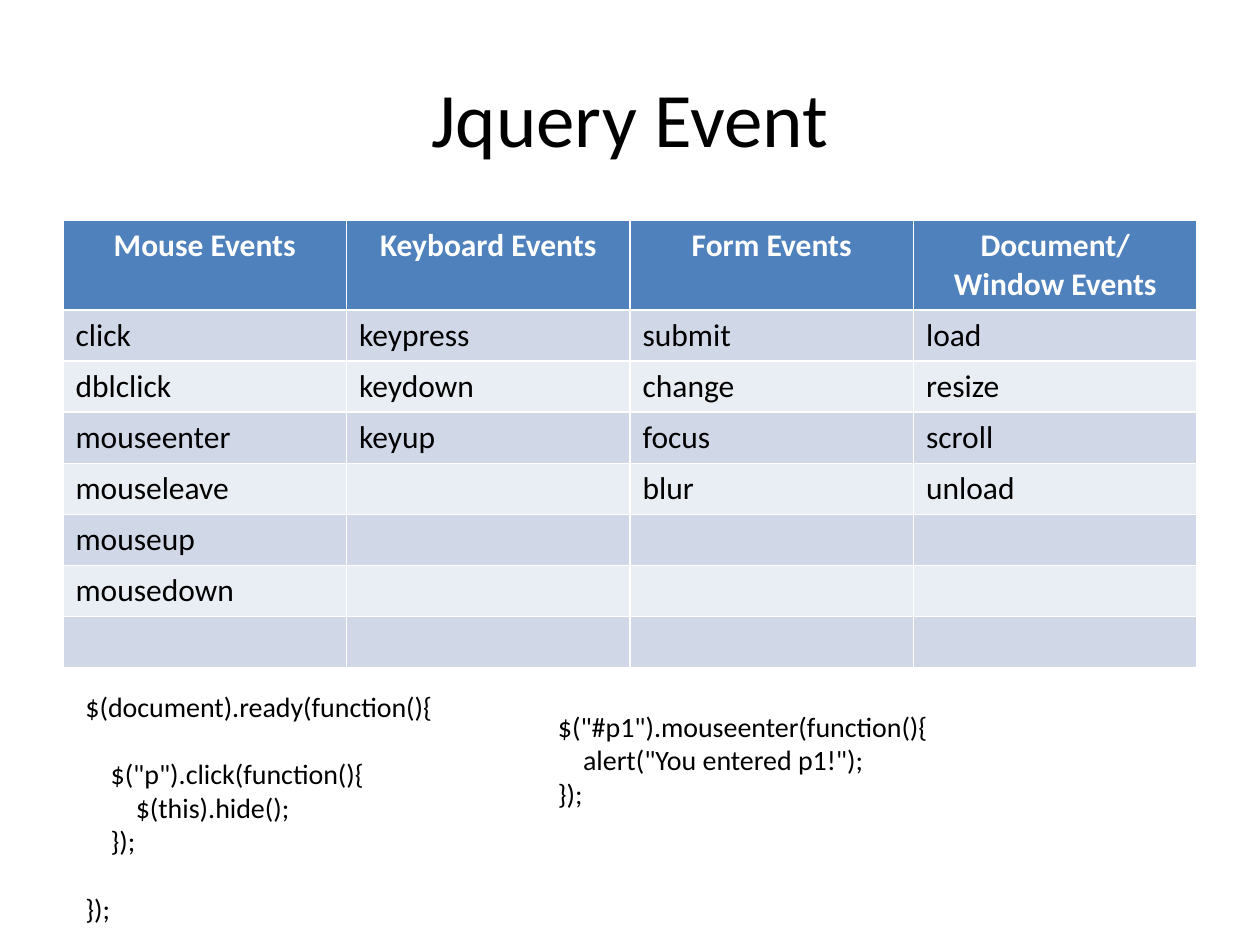
"""Build a slide with a table of jQuery events and two code samples."""
from pptx import Presentation
from pptx.dml.color import RGBColor
from pptx.enum.text import MSO_ANCHOR, MSO_AUTO_SIZE, PP_ALIGN
from pptx.util import Inches, Pt

CENTER, LEFT = PP_ALIGN.CENTER, PP_ALIGN.LEFT
MIDDLE = MSO_ANCHOR.MIDDLE
GROW = MSO_AUTO_SIZE.SHAPE_TO_FIT_TEXT

THEME = {
    "font": "Calibri",
    "ink": RGBColor.from_string("000000"),
    "paper": RGBColor.from_string("FFFFFF"),
    "head": RGBColor.from_string("4F81BD"),
    "bands": [RGBColor.from_string(c) for c in ("D0D8E8", "E9EDF4")],
    "title": Pt(44),
    "cell": Pt(18),
    "code": Pt(16),
    "gap": Pt(19.5),
}


def style(para, size, color, align=LEFT, bold=False):
    para.alignment = align
    para.font.color.rgb = color
    for name, value in {"name": THEME["font"], "size": size, "bold": bold}.items():
        setattr(para.font, name, value)


deck = Presentation()
deck.slide_width, deck.slide_height = Inches(10), Inches(7.5)
slide = deck.slides.add_slide(deck.slide_layouts[5])

title = slide.shapes.title
place = {"left": 0.5, "top": 0.3, "width": 9, "height": 1.25}
for name, value in place.items():
    setattr(title, name, Inches(value))
title.text_frame.text = "Jquery Event"
title.text_frame.vertical_anchor = MIDDLE
style(title.text_frame.paragraphs[0], THEME["title"], THEME["ink"], CENTER)

events = {
    "Mouse Events": ["click", "dblclick", "mouseenter", "mouseleave", "mouseup", "mousedown"],
    "Keyboard Events": ["keypress", "keydown", "keyup"],
    "Form Events": ["submit", "change", "focus", "blur"],
    "Document/Window Events": ["load", "resize", "scroll", "unload"],
}
count, high, top = 8, 3.54, 0.7
frame = slide.shapes.add_table(
    count, len(events), Inches(0.5), Inches(1.75), Inches(9), Inches(high))
table = frame.table
for i, row in enumerate(table.rows):
    row.height = Inches((high - top) / (count - 1) if i else top)

for j, (head, names) in enumerate(events.items()):
    words = [head] + names + [""] * (count - 1 - len(names))
    for i, word in enumerate(words):
        cell = table.cell(i, j)
        cell.text = word
        cell.fill.solid()
        cell.fill.fore_color.rgb = THEME["bands"][(i - 1) % 2] if i else THEME["head"]
        look = (THEME["ink"], LEFT, False) if i else (THEME["paper"], CENTER, True)
        style(cell.text_frame.paragraphs[0], THEME["cell"], *look)

samples = [
    ((0.58, 5.42, 3.67, 1.99), [
        (0, 0, "$(document).ready(function(){"),
        (1, 1, '$("p").click(function(){'),
        (2, 0, "$(this).hide();"),
        (1, 0, "});"),
        (0, 1, "});"),
    ]),
    ((4.33, 5.58, 3.67, 0.91), [
        (0, 0, '$("#p1").mouseenter(function(){'),
        (1, 0, 'alert("You entered p1!");'),
        (0, 0, "});"),
    ]),
]
for spot, lines in samples:
    text = slide.shapes.add_textbox(*map(Inches, spot)).text_frame
    text.word_wrap = True
    text.auto_size = GROW
    text.text = "\n".join(line for _, _, line in lines)
    for para, (level, skip, _) in zip(text.paragraphs, lines):
        style(para, THEME["code"], THEME["ink"])
        para.space_before = THEME["gap"] * skip
        para._p.get_or_add_pPr().set("marL", str(Inches(0.2 * level)))

deck.save("out.pptx")
